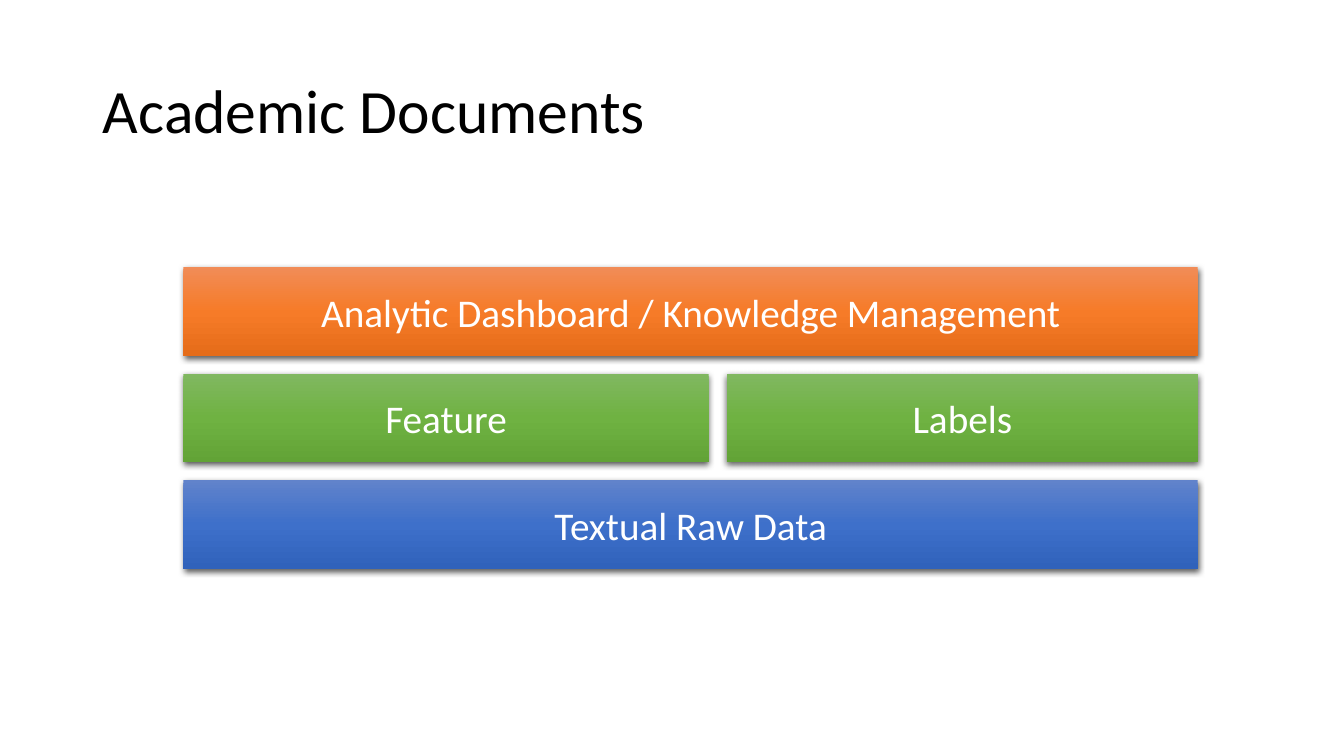
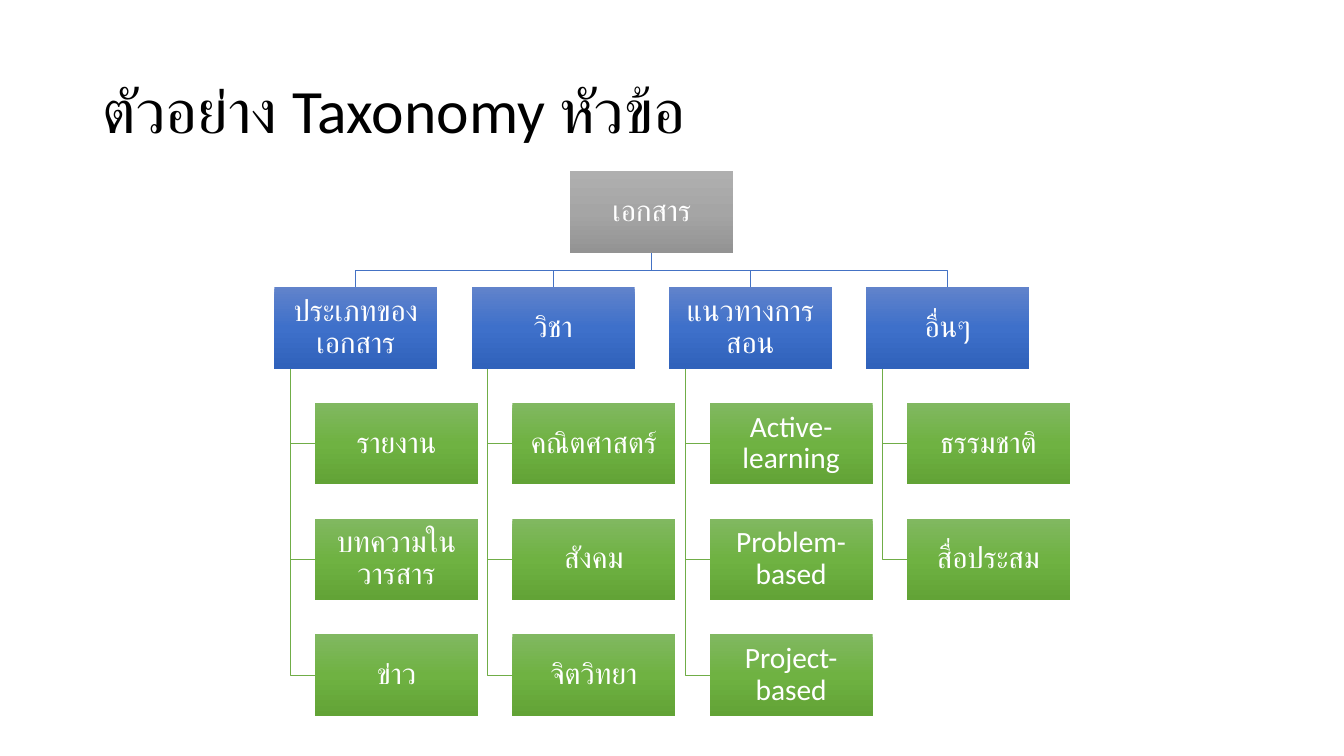
"""Build two slides: a layered document platform and a topic taxonomy."""
from dataclasses import dataclass

from lxml import etree
from pptx import Presentation
from pptx import util as u
from pptx.dml.color import RGBColor
from pptx.enum import lang, shapes, text as t
from pptx.oxml.ns import qn


@dataclass(frozen=True)
class Theme:
    """Colours, font and type sizes of the deck."""
    font: str = "Calibri"
    ink: str = "000000"
    paper: str = "FFFFFF"
    blue: tuple = ("6183CB", "3E70CA", "3062BB")
    green: tuple = ("81B861", "6FB242", "62A336")
    orange: tuple = ("F18C57", "F67B28", "E56C19")
    grey: tuple = ("AFAFAF", "A5A5A5", "939393")
    branch_line: str = "4472C4"
    leaf_line: str = "70AD47"
    title_size: int = 44
    layer_size: int = 28
    node_size: int = 21


@dataclass(frozen=True)
class Grid:
    """A grid with its origin and cell size in inches."""
    left: float
    top: float
    column: float
    row: float

    def point(self, column, row):
        """Return the place of a grid crossing."""
        return u.Inches(self.left + column * self.column), u.Inches(self.top + row * self.row)

    def extent(self, columns, rows):
        """Return the width and height of a block of cells."""
        return u.Inches(columns * self.column), u.Inches(rows * self.row)


def write(frame, text, *, size, color, font, align, spacing=1.0, inset=None):
    """Put one formatted paragraph into a text frame."""
    frame.word_wrap = True
    frame.auto_size = t.MSO_AUTO_SIZE.NONE
    frame.vertical_anchor = t.MSO_ANCHOR.MIDDLE
    if inset is not None:
        frame.margin_left = frame.margin_right = u.Inches(inset)
        frame.margin_top = frame.margin_bottom = u.Inches(inset)
    para = frame.paragraphs[0]
    para.alignment = align
    para.line_spacing = spacing
    span = para.add_run()
    span.text = text
    span.font.name = font
    span.font.size = u.Pt(size)
    span.font.color.rgb = RGBColor.from_string(color)
    if not text.isascii():
        span.font.language_id = lang.MSO_LANGUAGE_ID.THAI


class Builder:
    """Hold the deck, its style and the current slide."""

    def __init__(self, theme):
        """Start a widescreen deck."""
        self.theme = theme
        self.deck = Presentation()
        self.deck.slide_width = u.Inches(13.33)
        self.deck.slide_height = u.Inches(7.5)
        self.page = None

    def slide(self, title):
        """Add a slide with its title."""
        self.page = self.deck.slides.add_slide(self.deck.slide_layouts[5])
        box = self.page.shapes.title
        box.left, box.top = u.Inches(0.92), u.Inches(0.4)
        box.width, box.height = u.Inches(11.5), u.Inches(1.45)
        write(box.text_frame, title, size=self.theme.title_size, color=self.theme.ink,
              font=self.theme.font, align=t.PP_ALIGN.LEFT, spacing=0.9)

    def box(self, grid, at, cells, text, colors, shadow=False, **style):
        """Add a labelled rectangle with a vertical gradient."""
        box = self.page.shapes.add_shape(
            shapes.MSO_SHAPE.RECTANGLE, *grid.point(*at), *grid.extent(*cells))
        box.line.fill.background()
        self.gradient(box, colors)
        box.shadow.inherit = False
        if shadow:
            self.shadow(box)
        write(box.text_frame, text, color=self.theme.paper, font=self.theme.font,
              align=t.PP_ALIGN.CENTER, **style)

    def gradient(self, box, colors):
        """Fill a shape from top to bottom with evenly spaced colours."""
        box.fill.gradient()
        box.fill.gradient_angle = 270
        stops = box._element.spPr.find(qn("a:gradFill")).find(qn("a:gsLst"))
        for stop in list(stops):
            stops.remove(stop)
        for index, color in enumerate(colors):
            place = str(index * 100000 // (len(colors) - 1))
            stop = etree.SubElement(stops, qn("a:gs"), pos=place)
            etree.SubElement(stop, qn("a:srgbClr"), val=color)

    def shadow(self, box):
        """Give a shape a soft shadow below it."""
        effects = box._element.spPr.find(qn("a:effectLst"))
        outer = etree.SubElement(
            effects, qn("a:outerShdw"), blurRad=str(int(u.Pt(4.5))), dist=str(int(u.Pt(1.5))),
            dir="5400000", algn="ctr", rotWithShape="0")
        color = etree.SubElement(outer, qn("a:srgbClr"), val=self.theme.ink)
        etree.SubElement(color, qn("a:alpha"), val="63000")

    def route(self, grid, crossings, color):
        """Draw a thin open line through grid crossings."""
        start, *rest = [grid.point(*crossing) for crossing in crossings]
        outline = self.page.shapes.build_freeform(*start)
        outline.add_line_segments(rest, close=False)
        line = outline.convert_to_shape()
        line.fill.background()
        line.line.color.rgb = RGBColor.from_string(color)
        line.line.width = u.Pt(0.5)
        line.shadow.inherit = False


def layers_slide(build):
    """Show the layers from raw data up to the dashboard."""
    theme = build.theme
    grid = Grid(1.82, 2.65, 10.06 / 56, 0.88 / 5)
    layers = [
        (0, 12, 56, "Textual Raw Data", theme.blue),
        (0, 6, 29, "Feature", theme.green),
        (30, 6, 26, "Labels", theme.green),
        (0, 0, 56, "Analytic Dashboard / Knowledge Management", theme.orange),
    ]
    build.slide("Academic Documents")
    for column, row, columns, text, colors in layers:
        build.box(grid, (column, row), (columns, 5), text, colors,
                  shadow=True, size=theme.layer_size)


def taxonomy_slide(build):
    """Show the topic tree: a root, its branches and their leaves."""
    theme = build.theme
    width, height, gap, indent, trunk = 100, 50, 21, 25, 10
    across, down = width + gap, height + gap
    unit = 5.87 / (3 * across)
    grid = Grid(2.72, 1.7, unit, unit)
    branches = {
        "ประเภทของเอกสาร": ["รายงาน", "บทความในวารสาร", "ข่าว"],
        "วิชา": ["คณิตศาสตร์", "สังคม", "จิตวิทยา"],
        "แนวทางการสอน": ["Active-learning", "Problem-based", "Project-based"],
        "อื่นๆ": ["ธรรมชาติ", "สื่อประสม"],
    }
    root = (len(branches) - 1) * across / 2
    center, rail = root + width / 2, height + gap / 2
    nodes = [(root, 0, "เอกสาร", theme.grey)]
    build.slide("ตัวอย่าง Taxonomy หัวข้อ")
    for index, (branch, leaves) in enumerate(branches.items()):
        left = index * across
        middle = left + width / 2
        build.route(grid, [(center, height), (center, rail), (middle, rail), (middle, down)],
                    theme.branch_line)
        nodes.append((left, down, branch, theme.blue))
        for level, leaf in enumerate(leaves, start=2):
            top = level * down
            side = top + height / 2
            build.route(grid, [(left + trunk, down + height), (left + trunk, side),
                               (left + indent, side)], theme.leaf_line)
            nodes.append((left + indent, top, leaf, theme.green))
    for column, row, text, colors in nodes:
        build.box(grid, (column, row), (width, height), text, colors,
                  size=theme.node_size, spacing=0.9, inset=0.01)


build = Builder(Theme())
layers_slide(build)
taxonomy_slide(build)
build.deck.save("out.pptx")
